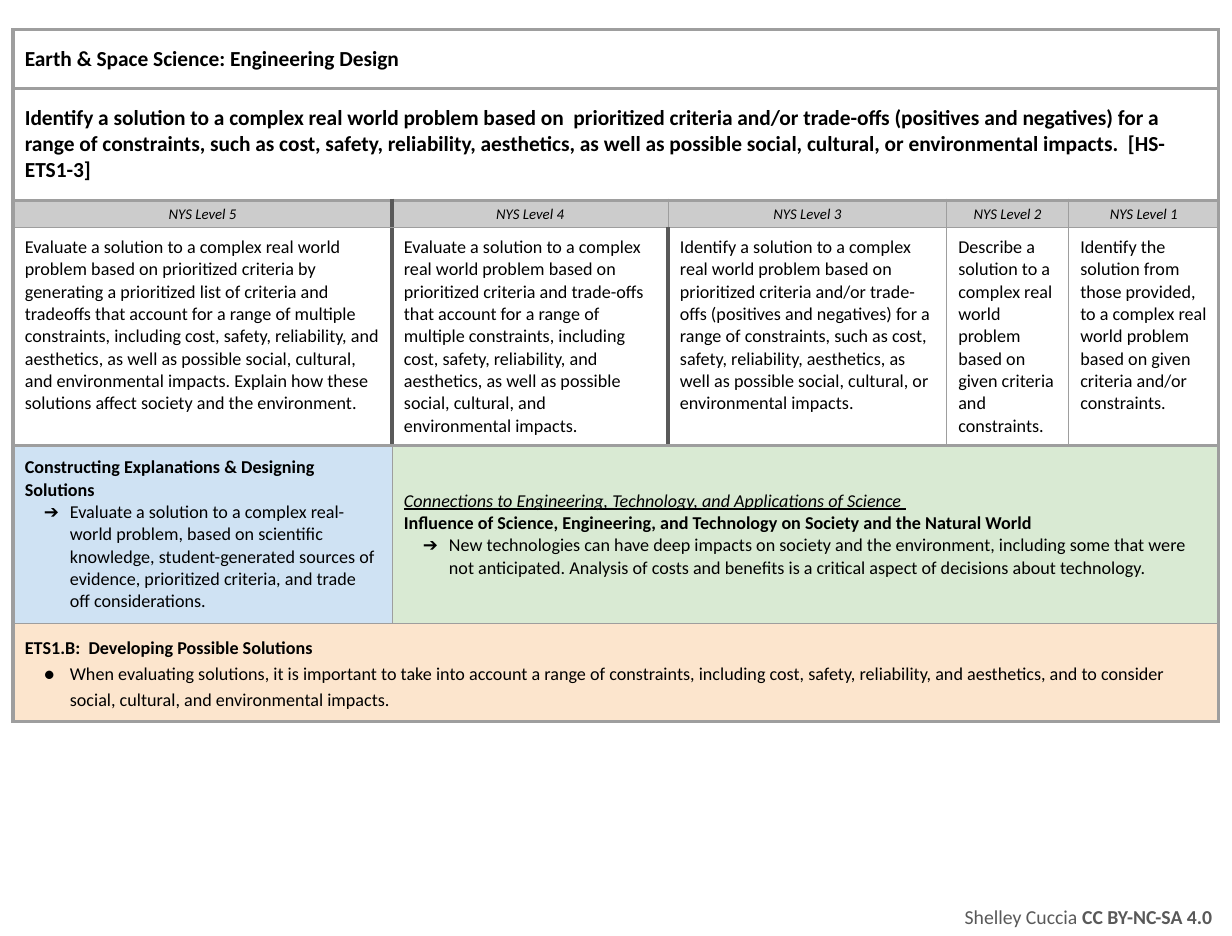
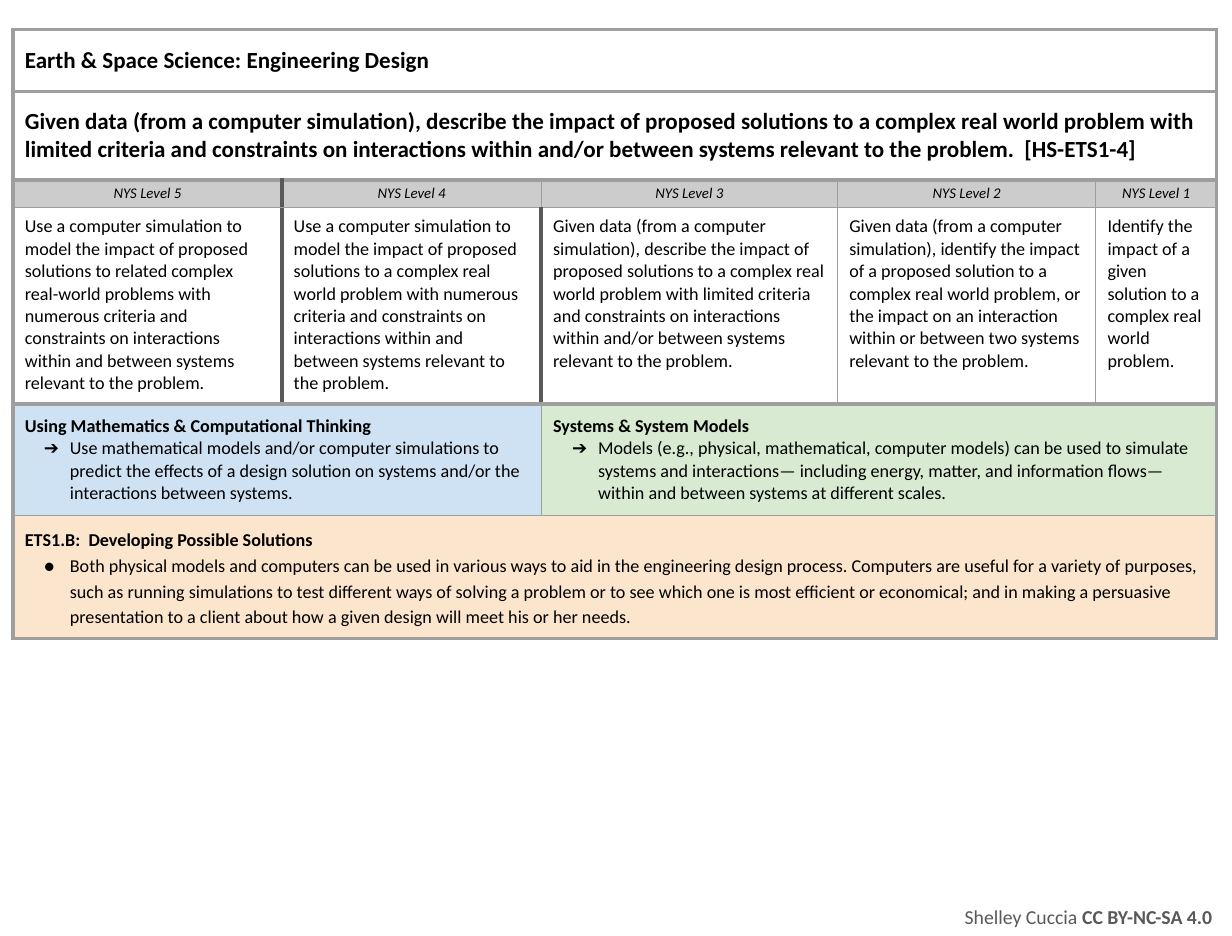
"""Build two slides of science standards, each a five-level rubric table with a licence footer."""
from lxml import etree
from pptx import Presentation
from pptx.dml.color import RGBColor
from pptx.enum.text import MSO_ANCHOR, PP_ALIGN
from pptx.oxml.ns import qn
from pptx.util import Pt

PX = 9144
TOP, MIDDLE = MSO_ANCHOR.TOP, MSO_ANCHOR.MIDDLE
CENTER, LEFT, RIGHT = PP_ALIGN.CENTER, PP_ALIGN.LEFT, PP_ALIGN.RIGHT
FONT = "Calibri"
COLORS = {
    "text": "000000", "footer": "595959", "border": "9E9E9E", "cutoff": "595959",
    "plain": "FFFFFF", "label": "CCCCCC", "practice": "CFE2F3",
    "concept": "D9EAD3", "idea": "FCE5CD",
}
BANDS = {
    "heading": {"inset": 14, "anchor": MIDDLE, "align": LEFT, "spacing": 1.0},
    "label": {"inset": 4, "anchor": MIDDLE, "align": CENTER, "spacing": 1.0},
    "level": {"inset": 7, "anchor": TOP, "align": LEFT, "spacing": 1.0},
    "dimension": {"inset": 9, "anchor": MIDDLE, "align": LEFT, "spacing": 1.0},
    "idea": {"inset": 9, "anchor": MIDDLE, "align": LEFT, "spacing": 1.15},
}
STYLES = {
    "heading": {"bold": True, "italic": False, "underline": False},
    "label": {"size": Pt(9), "bold": False, "italic": True, "underline": False},
    "body": {"size": Pt(11), "bold": False, "italic": False, "underline": False},
    "bold": {"size": Pt(11), "bold": True, "italic": False, "underline": False},
    "link": {"size": Pt(11), "bold": False, "italic": True, "underline": True},
}
BULLETS = {"arrow": "➔", "dot": "●"}
ROW_LINES = [2.25, 2.25, 2.25, 0.75, 2.25, 0.75, 2.25]
CUTOFFS = {(2, 1), (3, 1), (3, 2)}
COLUMN_COUNT = 5
SUBJECT = "Earth & Space Science: Engineering Design"
IDEA_TITLE = "ETS1.B:  Developing Possible Solutions"

STANDARDS = [
    {
        "size": 13,
        "columns": [320, 233, 235, 103, 127],
        "rows": [50, 94, 22, 184, 150, 83],
        "goal": "Identify a solution to a complex real world problem based on  prioritized criteria and/or "
                "trade-offs (positives and negatives) for a range of constraints, such as cost, safety, "
                "reliability, aesthetics, as well as possible social, cultural, or environmental impacts.  "
                "[HS-ETS1-3]",
        "levels": [
            "Evaluate a solution to a complex real world problem based on prioritized criteria by generating "
            "a prioritized list of criteria and tradeoffs that account for a range of multiple constraints, "
            "including cost, safety, reliability, and aesthetics, as well as possible social, cultural, and "
            "environmental impacts. Explain how these solutions affect society and the environment.",
            "Evaluate a solution to a complex real world problem based on prioritized criteria and trade-offs "
            "that account for a range of multiple constraints, including cost, safety, reliability, and "
            "aesthetics, as well as possible social, cultural, and environmental impacts.",
            "Identify a solution to a complex real world problem based on  prioritized criteria and/or "
            "trade-offs (positives and negatives) for a range of constraints, such as cost, safety, "
            "reliability, aesthetics, as well as possible social, cultural, or environmental impacts.",
            "Describe a solution to a complex real world problem based on given criteria and constraints.",
            "Identify the solution from those provided, to a complex real world problem based on given "
            "criteria and/or constraints.",
        ],
        "practice_span": 1,
        "practice": [
            ("bold", "Constructing Explanations & Designing Solutions"),
            ("arrow", "Evaluate a solution to a complex real-world problem, based on scientific knowledge, "
                      "student-generated sources of evidence, prioritized criteria, and trade off "
                      "considerations."),
        ],
        "concept": [
            ("link", "Connections to Engineering, Technology, and Applications of Science "),
            ("bold", "Influence of Science, Engineering, and Technology on Society and the Natural World"),
            ("arrow", "New technologies can have deep impacts on society and the environment, including some "
                      "that were not anticipated. Analysis of costs and benefits is a critical aspect of "
                      "decisions about technology."),
        ],
        "idea": "When evaluating solutions, it is important to take into account a range of constraints, "
                "including cost, safety, reliability, and aesthetics, and to consider social, cultural, and "
                "environmental impacts.",
    },
    {
        "size": 14,
        "columns": [227, 219, 250, 218, 102],
        "rows": [52, 75, 22, 166, 94, 104],
        "goal": "Given data (from a computer simulation), describe the impact of proposed solutions to a "
                "complex real world problem with limited criteria and constraints on interactions within "
                "and/or between systems relevant to the problem.  [HS-ETS1-4]",
        "levels": [
            "Use a computer simulation to model the impact of proposed solutions to related complex "
            "real-world problems with numerous criteria and constraints on interactions within and between "
            "systems relevant to the problem.",
            "Use a computer simulation to model the impact of proposed solutions to a complex real world "
            "problem with numerous criteria and constraints on interactions within and between systems "
            "relevant to the problem.",
            "Given data (from a computer simulation), describe the impact of proposed solutions to a complex "
            "real world problem with limited criteria and constraints on interactions within and/or between "
            "systems relevant to the problem.",
            "Given data (from a computer simulation), identify the impact of a proposed solution to a complex "
            "real world problem, or the impact on an interaction within or between two systems relevant to "
            "the problem.",
            "Identify the impact of a given solution to a complex real world problem.",
        ],
        "practice_span": 2,
        "practice": [
            ("bold", "Using Mathematics & Computational Thinking"),
            ("arrow", "Use mathematical models and/or computer simulations to predict the effects of a design "
                      "solution on systems and/or the interactions between systems."),
        ],
        "concept": [
            ("bold", "Systems & System Models"),
            ("arrow", "Models (e.g., physical, mathematical, computer models) can be used to simulate systems "
                      "and interactions— including energy, matter, and information flows— within and between "
                      "systems at different scales."),
        ],
        "idea": "Both physical models and computers can be used in various ways to aid in the engineering "
                "design process. Computers are useful for a variety of purposes, such as running simulations "
                "to test different ways of solving a problem or to see which one is most efficient or "
                "economical; and in making a persuasive presentation to a client about how a given design "
                "will meet his or her needs.",
    },
]


def add_borders(cell, row, first, last):
    """Draw the four sides of a cell reaching from edge first to edge last."""
    sides = []
    for tag, edge in (("a:lnL", first), ("a:lnR", last)):
        if (row, edge) in CUTOFFS:
            sides.append((tag, 3, "cutoff"))
        else:
            sides.append((tag, 2.25 if edge in (0, COLUMN_COUNT) else 0.75, "border"))
    sides += [("a:lnT", ROW_LINES[row], "border"), ("a:lnB", ROW_LINES[row + 1], "border")]
    properties = cell._tc.get_or_add_tcPr()
    for tag, width, color in sides:
        line = etree.SubElement(properties, qn(tag), w=str(Pt(width)))
        fill = etree.SubElement(line, qn("a:solidFill"))
        etree.SubElement(fill, qn("a:srgbClr"), val=COLORS[color])


def write(para, text, color, formats):
    """Add one run with the shared font, a colour and format values."""
    span = para.add_run()
    span.text = text
    span.font.name = FONT
    span.font.color.rgb = RGBColor.from_string(COLORS[color])
    for name, value in formats.items():
        setattr(span.font, name, value)


deck = Presentation()
deck.slide_width, deck.slide_height = 1040 * PX, 790 * PX

for standard in STANDARDS:
    page = deck.slides.add_slide(deck.slide_layouts[6])
    columns, rows = standard["columns"], standard["rows"]
    practice_span = standard["practice_span"]
    content = [
        ("heading", [(5, "plain", [("heading", SUBJECT)])]),
        ("heading", [(5, "plain", [("heading", standard["goal"])])]),
        ("label", [(1, "label", [("label", f"NYS Level {level}")]) for level in range(5, 0, -1)]),
        ("level", [(1, "plain", [("body", text)]) for text in standard["levels"]]),
        ("dimension", [(practice_span, "practice", standard["practice"]),
                       (COLUMN_COUNT - practice_span, "concept", standard["concept"])]),
        ("idea", [(5, "idea", [("bold", IDEA_TITLE), ("dot", standard["idea"])])]),
    ]

    frame = page.shapes.add_table(len(rows), COLUMN_COUNT, 11 * PX, 25 * PX,
                                  sum(columns) * PX, sum(rows) * PX)
    table = frame.table
    table.first_row = table.horz_banding = False
    for column, width in zip(table.columns, columns):
        column.width = width * PX
    for row, height in zip(table.rows, rows):
        row.height = height * PX

    for row, (band_name, entries) in enumerate(content):
        band = BANDS[band_name]
        first = 0
        for width, fill, paragraphs in entries:
            last = first + width
            cell = table.cell(row, first)
            if width > 1:
                cell.merge(table.cell(row, last - 1))
            for column in range(first, last):
                part = table.cell(row, column)
                add_borders(part, row, first, last)
                part.fill.solid()
                part.fill.fore_color.rgb = RGBColor.from_string(COLORS[fill])
            cell.vertical_anchor = band["anchor"]
            cell.margin_left = cell.margin_right = 10 * PX
            cell.margin_top = cell.margin_bottom = band["inset"] * PX
            for index, (style, text) in enumerate(paragraphs):
                para = cell.text_frame.add_paragraph() if index else cell.text_frame.paragraphs[0]
                if style in BULLETS:
                    settings = para._p.get_or_add_pPr()
                    settings.set("marL", str(38 * PX))
                    settings.set("indent", str(-22 * PX))
                    bullet_color = etree.SubElement(settings, qn("a:buClr"))
                    etree.SubElement(bullet_color, qn("a:srgbClr"), val=COLORS["text"])
                    etree.SubElement(settings, qn("a:buFont"), typeface=FONT)
                    etree.SubElement(settings, qn("a:buChar"), char=BULLETS[style])
                para.alignment = band["align"]
                para.line_spacing = band["spacing"]
                formats = {"size": Pt(standard["size"])} | STYLES.get(style, STYLES["body"])
                write(para, text, "text", formats)
            first = last

    footer = page.shapes.add_textbox(782 * PX, 757 * PX, 255 * PX, 33 * PX).text_frame
    footer.word_wrap = True
    footer.vertical_anchor = MIDDLE
    for side in ("left", "right", "top", "bottom"):
        setattr(footer, f"margin_{side}", 10 * PX)
    para = footer.paragraphs[0]
    para.alignment = RIGHT
    write(para, "Shelley Cuccia ", "footer", {"size": Pt(12), "bold": False})
    write(para, "CC BY-NC-SA 4.0 ", "footer", {"size": Pt(12), "bold": True})

deck.save("out.pptx")
